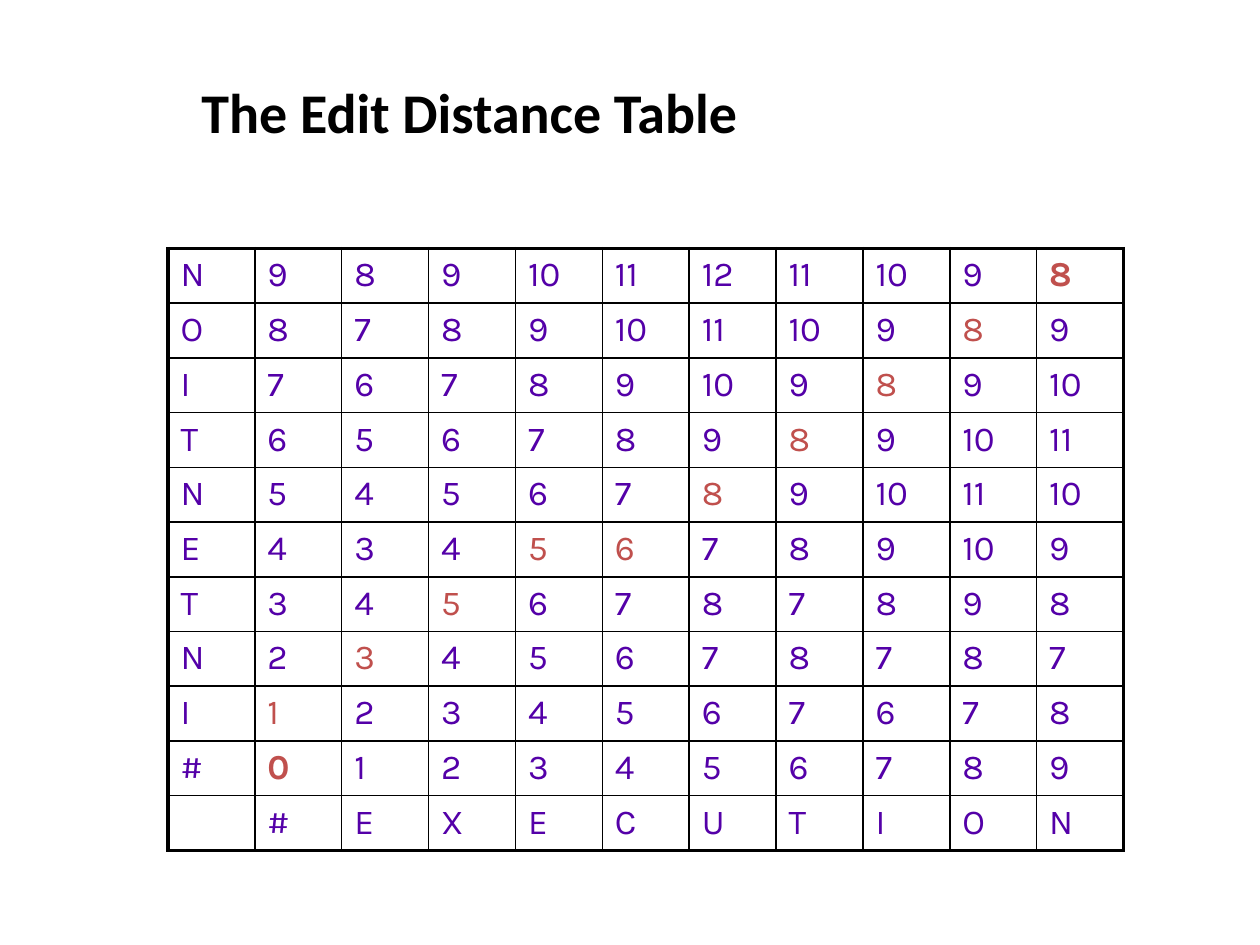
"""Build a slide with the edit distance table of two words."""
from dataclasses import dataclass

from lxml import etree
from pptx import Presentation
from pptx.dml.color import RGBColor
from pptx.enum.text import MSO_ANCHOR
from pptx.oxml.ns import qn
from pptx.util import Pt

TOP = MSO_ANCHOR.TOP


@dataclass(frozen=True)
class Theme:
    ink: str = "000000"
    cell: str = "5400A8"
    trace: str = "C0504D"
    head_font: str = "Calibri"
    cell_font: str = "Karla"
    head_size: float = 32
    cell_size: float = 20
    thin: float = 1
    thick: float = 2.25


THEME = Theme()
ROWS = [
    "N 9 8 9 10 11 12 11 10 9 8",
    "O 8 7 8 9 10 11 10 9 8 9",
    "I 7 6 7 8 9 10 9 8 9 10",
    "T 6 5 6 7 8 9 8 9 10 11",
    "N 5 4 5 6 7 8 9 10 11 10",
    "E 4 3 4 5 6 7 8 9 10 9",
    "T 3 4 5 6 7 8 7 8 9 8",
    "N 2 3 4 5 6 7 8 7 8 7",
    "I 1 2 3 4 5 6 7 6 7 8",
    "# 0 1 2 3 4 5 6 7 8 9",
]
FOOT = ["", *"#EXECUTION"]
ENDS = {(0, 10), (9, 1)}
TRACE = ENDS | {(1, 9), (2, 8), (3, 7), (4, 6), (5, 5), (5, 4), (6, 3), (7, 2), (8, 1)}


def style(font, name, size, color, bold):
    font.name = name
    font.size = Pt(size)
    font.color.rgb = RGBColor.from_string(color)
    font.bold = bold


def add_title(slide, text):
    box = slide.shapes.add_textbox(Pt(108), Pt(40.5), Pt(588), Pt(78))
    frame = box.text_frame
    frame.word_wrap = True
    frame.vertical_anchor = TOP
    frame.text = text
    style(frame.paragraphs[0].font, THEME.head_font, THEME.head_size, THEME.ink, True)


def add_border(cell, edges):
    props = cell._tc.get_or_add_tcPr()
    for i, (side, outer) in enumerate(edges):
        line = etree.Element(qn("a:ln" + side))
        line.set("w", str(Pt(THEME.thick if outer else THEME.thin)))
        fill = etree.SubElement(line, qn("a:solidFill"))
        etree.SubElement(fill, qn("a:srgbClr")).set("val", THEME.ink)
        props.insert(i, line)


def fill_cell(cell, text, spot):
    cell.fill.background()
    cell.text = text
    color = THEME.trace if spot in TRACE else THEME.cell
    font = cell.text_frame.paragraphs[0].font
    style(font, THEME.cell_font, THEME.cell_size, color, spot in ENDS)


def add_grid(slide, rows):
    high, wide = len(rows), len(rows[0])
    frame = slide.shapes.add_table(high, wide, Pt(96), Pt(142), Pt(546), Pt(344))
    table = frame.table
    table.first_row = table.horz_banding = False
    for col in table.columns:
        col.width = Pt(546 / wide)
    for r, row in enumerate(rows):
        table.rows[r].height = Pt(344 / high)
        for c, text in enumerate(row):
            cell = table.cell(r, c)
            fill_cell(cell, text, (r, c))
            add_border(cell, [("L", c == 0), ("R", c == wide - 1),
                              ("T", r == 0), ("B", r == high - 1)])


def main():
    deck = Presentation()
    deck.slide_width, deck.slide_height = Pt(720), Pt(540)
    slide = deck.slides.add_slide(deck.slide_layouts[6])
    add_grid(slide, [row.split() for row in ROWS] + [FOOT])
    add_title(slide, "The Edit Distance Table")
    deck.save("out.pptx")


if __name__ == "__main__":
    main()
